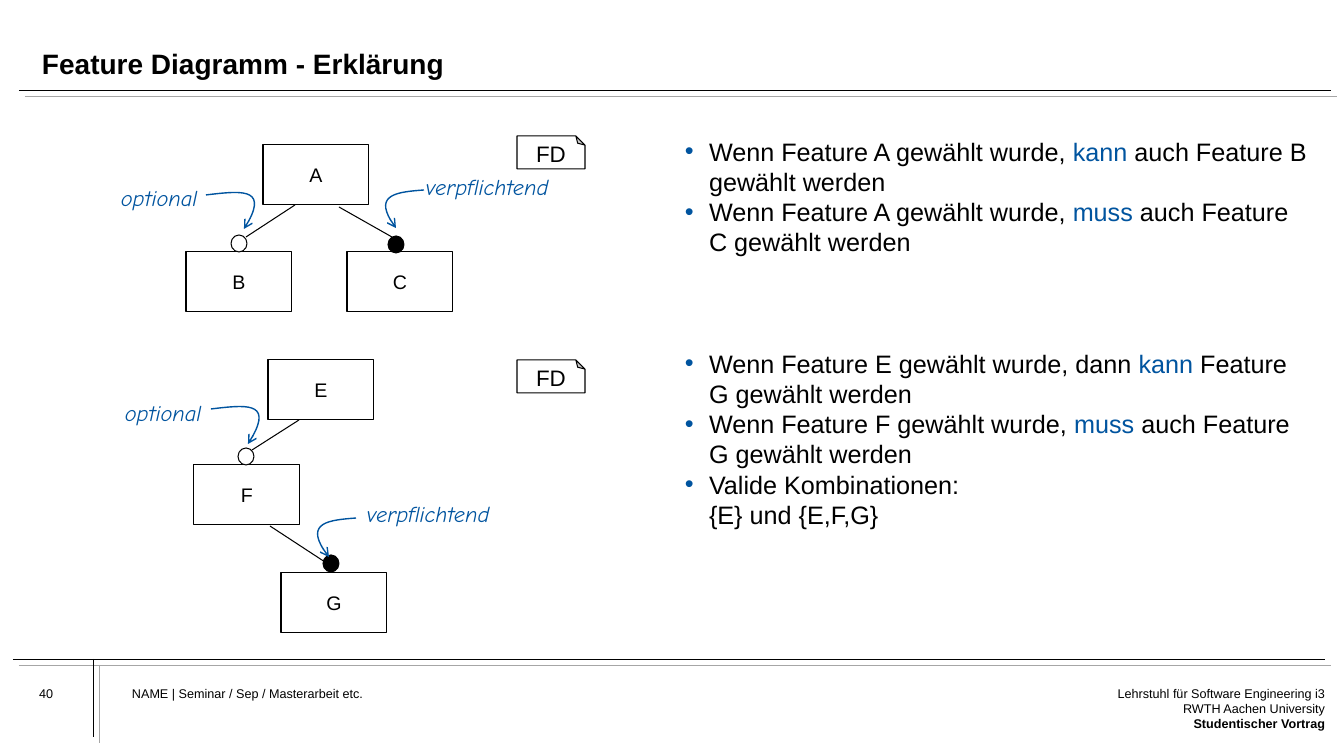
import pptx
import pptx.util
import pptx.dml.color
import pptx.enum.text
import pptx.enum.shapes
import pptx.oxml
import pptx.oxml.ns

SCALE = 914400 / 100.8
BLACK, WHITE, GREY, BLUE = "000000", "FFFFFF", "A6A6A6", "00549F"
SHAPES = pptx.enum.shapes.MSO_SHAPE
ALIGN = pptx.enum.text.PP_ALIGN
ANCHOR = pptx.enum.text.MSO_ANCHOR
FIT = pptx.enum.text.MSO_AUTO_SIZE

TITLE = "Feature Diagramm - Erklärung"
EXPLANATIONS = [
    (0, ["Wenn Feature A gewählt wurde, ", "kann", " auch Feature B gewählt werden"]),
    (0, ["Wenn Feature A gewählt wurde, ", "muss", " auch Feature C gewählt werden"]),
    (65, ["Wenn Feature E gewählt wurde, dann ", "kann", " Feature G gewählt werden"]),
    (0, ["Wenn Feature F gewählt wurde, ", "muss", " auch Feature G gewählt werden"]),
    (0, ["Valide Kombinationen:", "\n", "{E} und {E,F,G}"]),
]
KEYWORDS = {"kann", "muss"}
PAGE_NUMBER = "40"
FOOTER = "NAME | Seminar / Sep / Masterarbeit etc."
CHAIR = ["Lehrstuhl für Software Engineering i3", "RWTH Aachen University", "Studentischer Vortrag"]

RULES = [(19, 90, 1331, 90), (13, 659, 1325, 659), (93, 659, 93, 737)]
RULE_OFFSET = 6
FEATURES = [
    ("A", 263, 145, WHITE), ("B", 186, 252, None), ("C", 347, 252, None),
    ("E", 268, 360, WHITE), ("F", 194, 465, None), ("G", 281, 573, None),
]
FEATURE_SIZE = (106, 60)
BRANCHES = [(299, 420, 252, 450), (295, 205, 246, 237), (339, 207, 392, 237), (270, 526, 328, 564)]
MARKERS = [(231, 235, WHITE), (388, 236, BLACK), (238, 448, WHITE), (323, 555, BLACK)]
MARKER_SIZE = (16, 17)
LABELS = [("optional", 111, 179, 102), ("verpflichtend", 416, 168, 162),
          ("optional", 115, 394, 102), ("verpflichtend", 357, 495, 162)]
LABEL_HEIGHT = 37
POINTERS = [
    [(206, 195), (240, 191), (271, 187), (244, 229)],
    [(424, 190), (397, 192), (371, 195), (396, 228)],
    [(211, 409), (245, 405), (276, 401), (248, 444)],
    [(356, 518), (329, 520), (302, 523), (329, 557)],
]
NOTES = [("FD", 517, 136), ("FD", 517, 360)]
NOTE_SIZE = (68, 33)


def px(*lengths):
    return [round(length * SCALE) for length in lengths]


def color(value):
    return pptx.dml.color.RGBColor.from_string(value)


def xml(markup):
    return pptx.oxml.parse_xml(markup.format(pptx.oxml.ns.nsdecls("a")))


def style(font, size, value=BLACK, name="Arial", bold=False, italic=False):
    font.size, font.name = pptx.util.Pt(size), name
    font.bold, font.italic = bold, italic
    font.color.rgb = color(value)


def clear_margins(frame):
    frame.margin_left = frame.margin_top = frame.margin_right = frame.margin_bottom = 0


def outline(shape, value, width):
    shape.line.color.rgb = color(value)
    shape.line.width = pptx.util.Pt(width)


def add_line(slide, ends, value, width):
    line = slide.shapes.add_connector(pptx.enum.shapes.MSO_CONNECTOR.STRAIGHT, *px(*ends))
    outline(line, value, width)
    line._element.spPr.append(xml("<a:effectLst {}/>"))


def add_shape(slide, kind, box, fill):
    shape = slide.shapes.add_shape(kind, *px(*box))
    shape.shadow.inherit = False
    if fill:
        shape.fill.solid()
        shape.fill.fore_color.rgb = color(fill)
    else:
        shape.fill.background()
    outline(shape, BLACK, 0.75)
    return shape


def write_centred(shape, text, size):
    frame = shape.text_frame
    frame.text, frame.word_wrap = text, False
    frame.vertical_anchor = ANCHOR.MIDDLE
    frame.paragraphs[0].alignment = ALIGN.CENTER
    style(frame.paragraphs[0].runs[0].font, size)
    return frame


def add_text(slide, box, lines):
    frame = slide.shapes.add_textbox(*px(*box)).text_frame
    frame.word_wrap = True
    clear_margins(frame)
    frame.text = "\n".join(lines)
    for paragraph in frame.paragraphs:
        style(paragraph.runs[0].font, 9)
    return frame


def add_pointer(slide, points):
    builder = slide.shapes.build_freeform(*points[0], scale=SCALE)
    builder.add_line_segments(points[1:], close=False)
    pointer = builder.convert_to_shape()
    pointer.shadow.inherit = False
    pointer.fill.background()
    outline(pointer, BLUE, 1)
    pointer.line._get_or_add_ln().append(xml('<a:tailEnd {} type="arrow"/>'))
    curve = xml("<a:cubicBezTo {}/>")
    segments = list(pointer._element.iter(pptx.oxml.ns.qn("a:lnTo")))
    segments[0].addprevious(curve)
    for segment in segments:
        curve.append(segment[0])
        segment.getparent().remove(segment)


def add_note(slide, text, left, top):
    note = add_shape(slide, SHAPES.FOLDED_CORNER, (left, top, *NOTE_SIZE), WHITE)
    properties = note._element.spPr
    fold = properties.find(".//" + pptx.oxml.ns.qn("a:avLst"))
    fold.append(xml('<a:gd {} name="adj" fmla="val 27600"/>'))
    properties.find(pptx.oxml.ns.qn("a:xfrm")).set("flipV", "1")
    frame = write_centred(note, text, 16)
    frame.paragraphs[0].line_spacing = 0.7
    frame._txBody.bodyPr.set("rot", "10800000")


def add_label(slide, text, left, top, width):
    frame = slide.shapes.add_textbox(*px(left, top, width, LABEL_HEIGHT)).text_frame
    frame.text, frame.word_wrap = text, False
    frame.auto_size = FIT.SHAPE_TO_FIT_TEXT
    style(frame.paragraphs[0].runs[0].font, 16, BLUE, "Comic Neue", italic=True)


def add_explanations(slide):
    frame = slide.shapes.add_textbox(*px(685, 136, 623, 484)).text_frame
    frame.word_wrap = True
    clear_margins(frame)
    for index, (gap, parts) in enumerate(EXPLANATIONS):
        paragraph = frame.add_paragraph() if index else frame.paragraphs[0]
        paragraph.line_spacing = pptx.util.Pt(21.6)
        if gap:
            paragraph.space_before = pptx.util.Pt(gap)
        properties = paragraph._p.get_or_add_pPr()
        indent, = px(24)
        properties.set("marL", str(indent))
        properties.set("indent", str(-indent))
        properties.append(xml(f'<a:buClr {{}}><a:srgbClr val="{BLUE}"/></a:buClr>'))
        properties.append(xml('<a:buFont {} typeface="Arial"/>'))
        properties.append(xml('<a:buChar {} char="•"/>'))
        for part in parts:
            if part == "\n":
                paragraph.add_line_break()
                continue
            run = paragraph.add_run()
            run.text = part
            style(run.font, 18, BLUE if part in KEYWORDS else BLACK)


def add_title(slide):
    title = slide.shapes.title
    title.left, title.top, title.width, title.height = px(42, 22, 1266, 59)
    frame = title.text_frame
    frame.text, frame.word_wrap = TITLE, True
    frame.auto_size = FIT.NONE
    frame.vertical_anchor = ANCHOR.BOTTOM
    clear_margins(frame)
    frame.paragraphs[0].alignment = ALIGN.LEFT
    frame.paragraphs[0].line_spacing = 0.9
    style(frame.paragraphs[0].runs[0].font, 20, bold=True)


def main():
    """Build the feature diagram slide and save it."""
    deck = pptx.Presentation()
    deck.slide_width, deck.slide_height = px(1344, 756)
    slide = deck.slides.add_slide(deck.slide_layouts[5])
    add_title(slide)
    for ends in RULES:
        add_line(slide, ends, BLACK, 0.5)
        add_line(slide, [end + RULE_OFFSET for end in ends], GREY, 0.5)
    add_text(slide, (39, 686, 81, 43), [PAGE_NUMBER])
    add_text(slide, (132, 686, 772, 70), [FOOTER])
    chair = add_text(slide, (1108, 686, 217, 70), CHAIR)
    for paragraph in chair.paragraphs:
        paragraph.alignment = ALIGN.RIGHT
    chair.paragraphs[-1].runs[0].font.bold = True
    add_explanations(slide)
    for ends in BRANCHES:
        add_line(slide, ends, BLACK, 0.75)
    for name, left, top, fill in FEATURES:
        write_centred(add_shape(slide, SHAPES.RECTANGLE, (left, top, *FEATURE_SIZE), fill), name, 14)
    for left, top, fill in MARKERS:
        add_shape(slide, SHAPES.OVAL, (left, top, *MARKER_SIZE), fill)
    for points in POINTERS:
        add_pointer(slide, points)
    for label in LABELS:
        add_label(slide, *label)
    for note in NOTES:
        add_note(slide, *note)
    deck.save("out.pptx")


if __name__ == "__main__":
    main()
